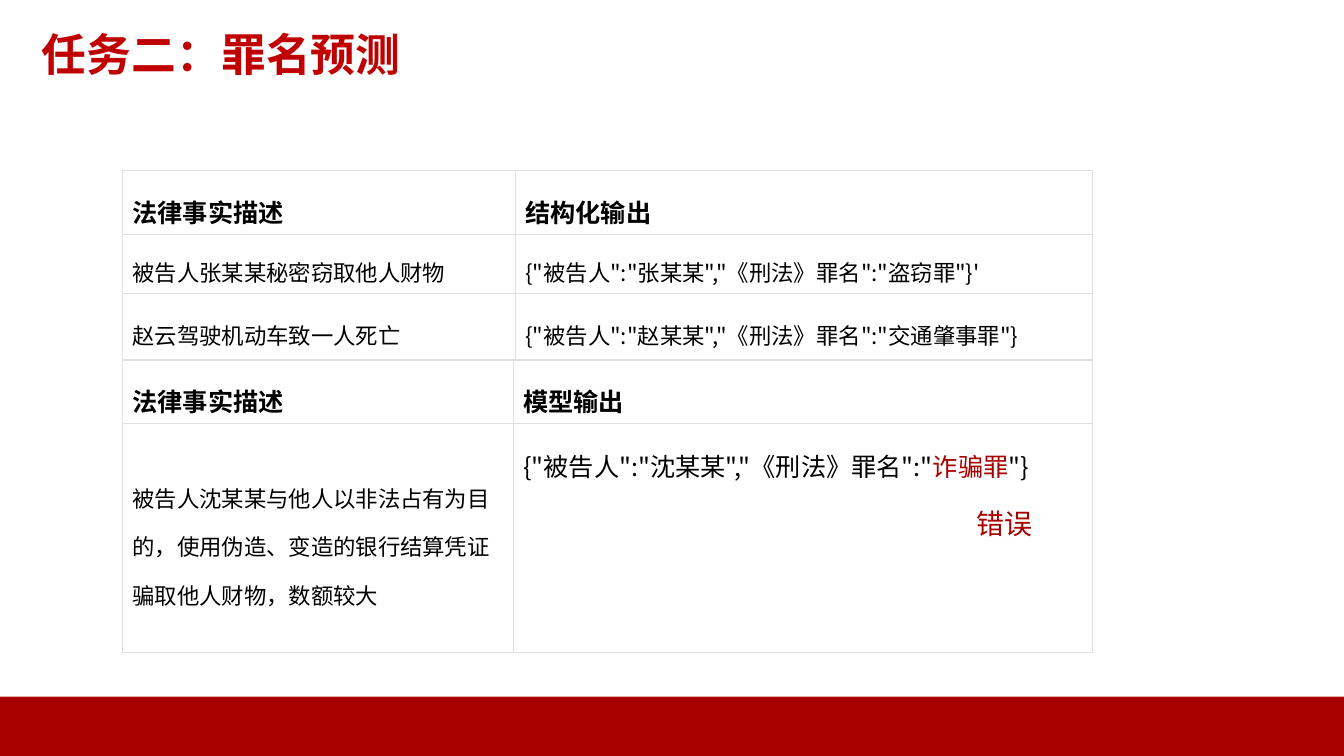
from lxml.etree import SubElement
from pptx import Presentation
from pptx.dml.color import RGBColor
from pptx.enum.shapes import MSO_SHAPE as Shape
from pptx.enum.text import MSO_ANCHOR as Anchor, PP_ALIGN as Align
from pptx.oxml.ns import qn
from pptx.util import Pt

RED = RGBColor(0xC0, 0x00, 0x00)
DARK_RED = RGBColor(0xA8, 0x00, 0x00)
BLACK = RGBColor(0x00, 0x00, 0x00)
GRID = RGBColor(0xDE, 0xE0, 0xE3)
SANS = "Noto Sans CJK SC"
SERIF = "Vollkorn"


class SlideBuilder:
    def __init__(self, slide):
        self.slide = slide

    def style(self, run, size, color=BLACK, bold=False, font=SANS):
        run.font.size = Pt(size)
        run.font.bold = bold
        run.font.color.rgb = color
        run.font.name = font
        SubElement(run.font._element, qn("a:ea")).set("typeface", SANS)

    def title(self, text, left, top, width, height):
        title = self.slide.shapes.title
        title.left, title.top, title.width, title.height = map(Pt, (left, top, width, height))
        frame = title.text_frame
        frame.margin_left = frame.margin_right = frame.margin_top = frame.margin_bottom = 0
        frame.vertical_anchor = Anchor.BOTTOM
        frame.text = text
        paragraph = frame.paragraphs[0]
        paragraph.alignment = Align.LEFT
        self.style(paragraph.runs[0], 32, RED, True)

    def bar(self, left, top, width, height):
        shape = self.slide.shapes.add_shape(Shape.RECTANGLE, *map(Pt, (left, top, width, height)))
        shape.shadow.inherit = False
        shape.fill.solid()
        shape.fill.fore_color.rgb = DARK_RED
        shape.line.fill.background()

    def fill_text(self, frame, pieces, size, bold=False, font=SANS):
        paragraph = frame.paragraphs[0]
        paragraph.alignment = Align.LEFT
        paragraph.line_spacing = 1.5
        for text, color in pieces:
            run = paragraph.add_run()
            run.text = text
            self.style(run, size, color, bold, font)

    def label(self, text, left, top, width, height):
        box = self.slide.shapes.add_textbox(*map(Pt, (left, top, width, height)))
        box.text_frame.word_wrap = True
        self.fill_text(box.text_frame, [(text, DARK_RED)], 20)

    def border(self, cell):
        properties = cell._tc.get_or_add_tcPr()
        for side in ("lnL", "lnR", "lnT", "lnB"):
            line = SubElement(properties, qn(f"a:{side}"), w=str(Pt(0.75)))
            fill = SubElement(line, qn("a:solidFill"))
            SubElement(fill, qn("a:srgbClr"), val=str(GRID))

    def table(self, rows, left, top, widths, heights, header_font=SANS):
        frame = self.slide.shapes.add_table(
            len(rows), len(widths), Pt(left), Pt(top), Pt(sum(widths)), Pt(sum(heights)))
        table = frame.table
        table.horz_banding = False
        for column, width in zip(table.columns, widths):
            column.width = Pt(width)
        for index, (row, height) in enumerate(zip(rows, heights)):
            table.rows[index].height = Pt(height)
            for cell, content in zip(table.rows[index].cells, row):
                self.border(cell)
                cell.fill.background()
                cell.vertical_anchor = Anchor.MIDDLE
                pieces = [(content, BLACK)] if isinstance(content, str) else content
                if index == 0:
                    self.fill_text(cell.text_frame, pieces, 18, True, header_font)
                else:
                    self.fill_text(cell.text_frame, pieces, 16 if len(pieces) == 1 else 18)
        return table


def main():
    presentation = Presentation()
    presentation.slide_width, presentation.slide_height = Pt(960), Pt(540)
    builder = SlideBuilder(presentation.slides.add_slide(presentation.slide_layouts[5]))
    builder.bar(0, 497.5, 960, 42.5)
    builder.title("任务二：罪名预测", 30, 2, 900, 55.5)
    builder.table(
        [("法律事实描述", "结构化输出"),
         ("被告人张某某秘密窃取他人财物", '{"被告人":"张某某","《刑法》罪名":"盗窃罪"}\''),
         ("赵云驾驶机动车致一人死亡", '{"被告人":"赵某某","《刑法》罪名":"交通肇事罪"}')],
        87.5, 121.5, (280.5, 412.5), (46, 41.5, 48), SERIF)
    answer = [('{"被告人":"沈某某","《刑法》罪名":"', BLACK), ("诈骗罪", DARK_RED), ('"}', BLACK)]
    results = builder.table(
        [("法律事实描述", "模型输出"),
         ("被告人沈某某与他人以非法占有为目的，使用伪造、变造的银行结算凭证骗取他人财物，数额较大", answer)],
        87.5, 256.5, (279, 414), (46, 163))
    results.cell(1, 1).vertical_anchor = Anchor.TOP
    builder.label("错误", 690.5, 346.5, 72.5, 39.5)
    presentation.save("out.pptx")


if __name__ == "__main__":
    main()
